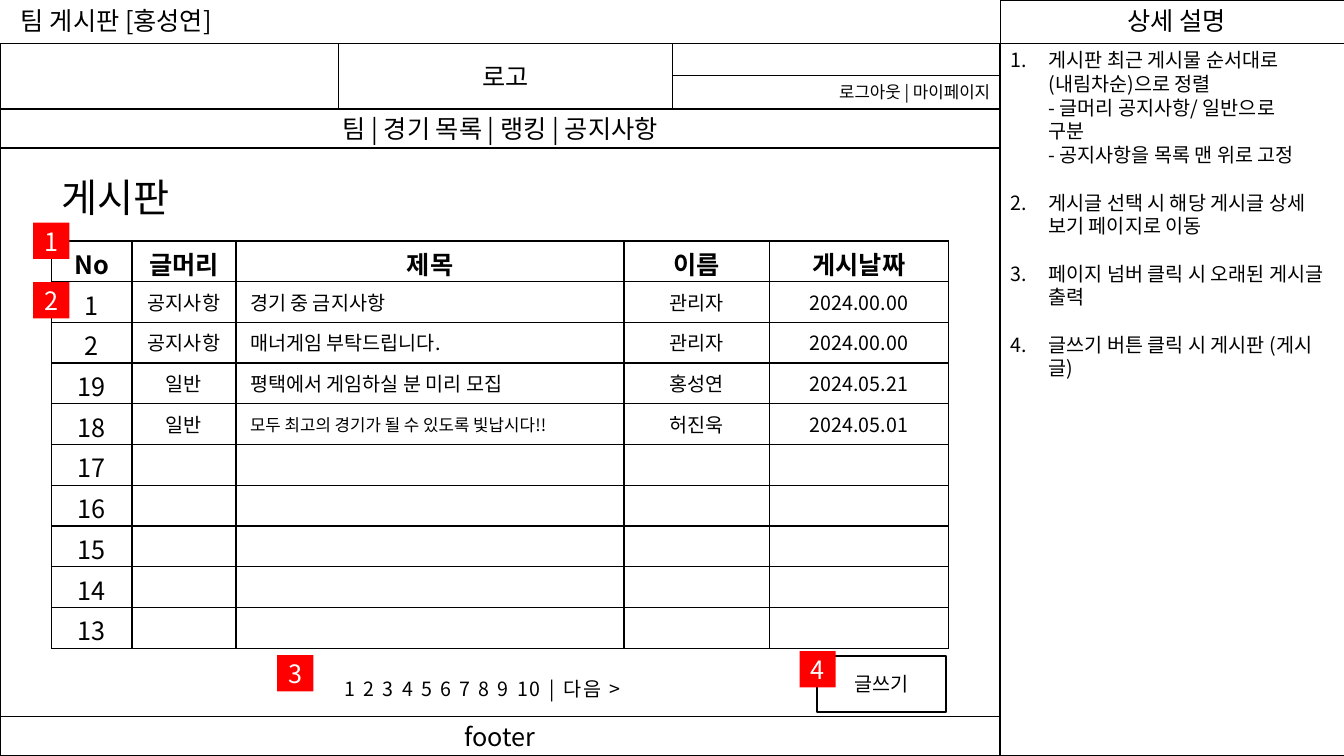
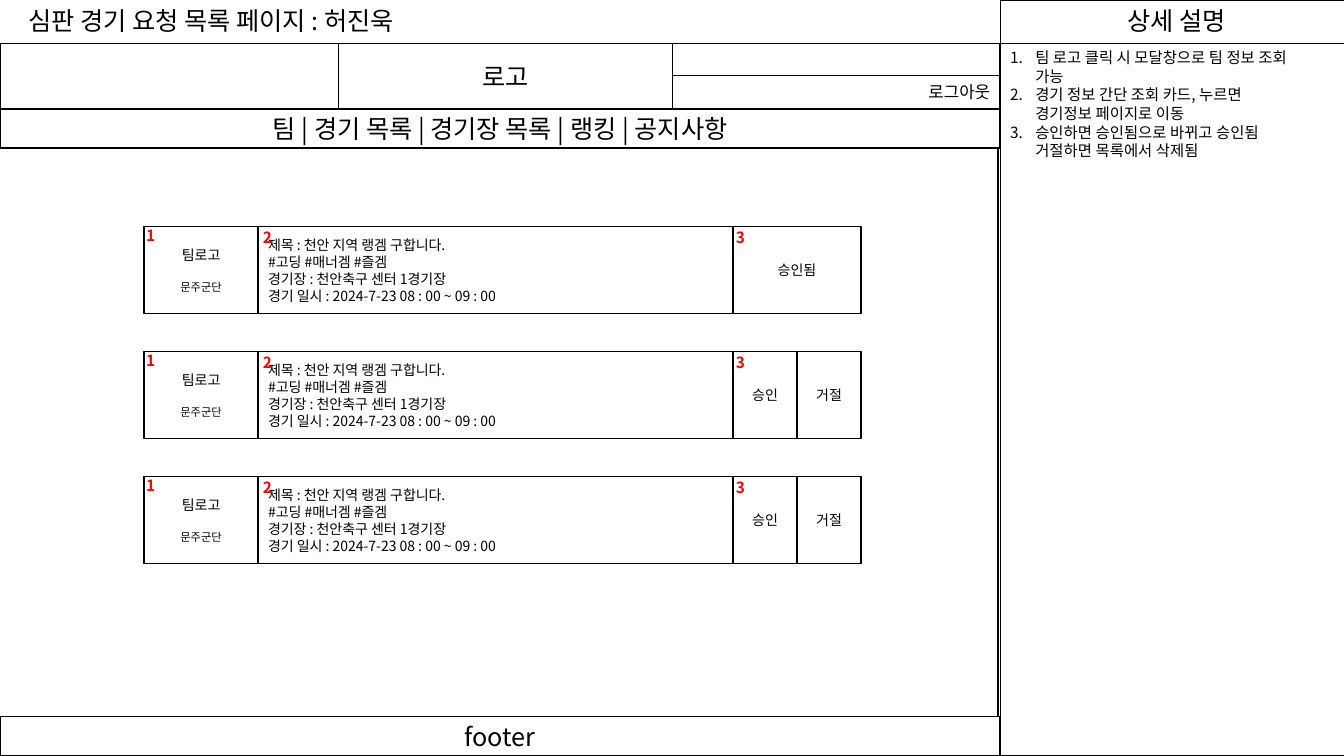
"""Build two wireframe pages: a team board and a referee's match request list."""
from lxml import etree
from pptx import Presentation
from pptx.dml.color import RGBColor
from pptx.enum import shapes, text
from pptx.oxml import ns
from pptx.util import Inches, Pt

FONT = "Noto Sans CJK KR"
COLORS = {"ink": "000000", "paper": "FFFFFF", "marker": "FF0000"}
LEFT, CENTER, RIGHT = text.PP_ALIGN.LEFT, text.PP_ALIGN.CENTER, text.PP_ALIGN.RIGHT
LINE_HEIGHT = 1.21
MAIN_WIDTH = 9.92
SIDE_WIDTH = 3.42


def style_text(frame, size, color="ink", align=CENTER, bold=False):
    for para in frame.paragraphs:
        para.alignment = align
        para.line_spacing = Pt(round(size * LINE_HEIGHT, 1))
        for span in para.runs:
            span.font.size = Pt(size)
            span.font.bold = bold
            span.font.name = FONT
            span.font.color.rgb = RGBColor.from_string(COLORS[color])
            east_asian = etree.SubElement(span.font._element, ns.qn("a:ea"))
            east_asian.set("typeface", FONT)


def add_box(page, place, words="", size=18, color="ink", align=CENTER,
            fill="paper", line=1, bold=False):
    lengths = [Inches(value) for value in place]
    if fill:
        box = page.shapes.add_shape(shapes.MSO_SHAPE.RECTANGLE, *lengths)
        box.shadow.inherit = False
        box.fill.solid()
        box.fill.fore_color.rgb = RGBColor.from_string(COLORS[fill])
        if line:
            box.line.color.rgb = RGBColor.from_string(COLORS["ink"])
            box.line.width = Pt(line)
        else:
            box.line.fill.background()
    else:
        box = page.shapes.add_textbox(*lengths)
    frame = box.text_frame
    frame.word_wrap = True
    frame.vertical_anchor = text.MSO_ANCHOR.MIDDLE if fill else text.MSO_ANCHOR.TOP
    if words:
        frame.text = words
        style_text(frame, size, color, align, bold)
    return box


deck = Presentation()
deck.slide_width, deck.slide_height = Inches(13.33), Inches(7.5)

page_settings = [
    {
        "title": "팀 게시판 [홍성연]", "title_left": 0.11, "body_left": 0,
        "menu": "팀 | 경기 목록 | 랭킹 | 공지사항",
        "account": "로그아웃 | 마이페이지",
        "notes_size": 14, "notes_indent": 0.38, "notes_gap": 17, "notes_width": 3.41,
        "notes": [
            "게시판 최근 게시물 순서대로\v(내림차순)으로 정렬\v- 글머리 공지사항/ 일반으로\v구분"
            "\v- 공지사항을 목록 맨 위로 고정",
            "게시글 선택 시 해당 게시글 상세 보기 페이지로 이동",
            "페이지 넘버 클릭 시 오래된 게시글 출력",
            "글쓰기 버튼 클릭 시 게시판 (게시글)",
        ],
    },
    {
        "title": "심판 경기 요청 목록 페이지 : 허진욱", "title_left": 0.18, "body_left": -0.02,
        "menu": "팀 | 경기 목록 | 경기장 목록 | 랭킹 | 공지사항",
        "account": "로그아웃",
        "notes_size": 11, "notes_indent": 0.25, "notes_gap": 0, "notes_width": 3.07,
        "notes": [
            "팀 로고 클릭 시 모달창으로 팀 정보 조회 가능",
            "경기 정보 간단 조회 카드, 누르면 경기정보 페이지로 이동",
            "승인하면 승인됨으로 바뀌고 승인됨 거절하면 목록에서 삭제됨",
        ],
    },
]

pages = []
for setting in page_settings:
    page = deck.slides.add_slide(deck.slide_layouts[6])
    pages.append(page)
    add_box(page, (MAIN_WIDTH, 0.43, SIDE_WIDTH, 7.07))
    add_box(page, (MAIN_WIDTH, 0, SIDE_WIDTH, 0.43))
    add_box(page, (11.08, 0, 1.3, 0.4), "상세 설명", align=LEFT, fill=None)
    add_box(page, (setting["body_left"], 1.47, MAIN_WIDTH, 5.64))
    add_box(page, (0, 0.43, MAIN_WIDTH, 1.04))
    add_box(page, (3.36, 0.43, 3.31, 0.65), "로고")
    add_box(page, (0, 1.08, MAIN_WIDTH, 0.39), setting["menu"])
    add_box(page, (6.67, 0.75, 3.25, 0.33), setting["account"], 12, align=RIGHT)
    add_box(page, (0, 7.11, MAIN_WIDTH, 0.39), "footer")
    add_box(page, (setting["title_left"], 0, 4.65, 0.4), setting["title"], align=LEFT, fill=None)
    notes = add_box(page, (MAIN_WIDTH, 0.43, setting["notes_width"], 3.4),
                    "\n".join(setting["notes"]), setting["notes_size"], align=LEFT, fill=None)
    for para in notes.text_frame.paragraphs:
        para.space_after = Pt(setting["notes_gap"])
        properties = para._p.get_or_add_pPr()
        properties.set("marL", str(Inches(setting["notes_indent"])))
        properties.set("indent", str(-Inches(setting["notes_indent"])))
        numbering = etree.SubElement(properties, ns.qn("a:buAutoNum"))
        numbering.set("type", "arabicPeriod")

board, requests = pages

add_box(board, (0.51, 1.67, 1.6, 0.57), "게시판", 28, align=LEFT, fill=None)
column_widths = [0.8, 1.03, 3.85, 1.44, 1.78]
posts = [
    ("No", "글머리", "제목", "이름", "게시날짜"),
    ("1", "공지사항", "경기 중 금지사항", "관리자", "2024.00.00"),
    ("2", "공지사항", "매너게임 부탁드립니다.", "관리자", "2024.00.00"),
    ("19", "일반", "평택에서 게임하실 분 미리 모집", "홍성연", "2024.05.21"),
    ("18", "일반", "모두 최고의 경기가 될 수 있도록 빛납시다!!", "허진욱", "2024.05.01"),
]
posts += [(str(number), "", "", "", "") for number in range(17, 12, -1)]
table = board.shapes.add_table(
    len(posts), len(column_widths), Inches(0.51), Inches(2.39), Inches(8.9), Inches(4.04)
).table
for column, width in zip(table.columns, column_widths):
    column.width = Inches(width)
for row_index, post in enumerate(posts):
    table.rows[row_index].height = Inches(4.04 / len(posts))
    for column_index, words in enumerate(post):
        cell = table.cell(row_index, column_index)
        header = row_index == 0
        large = header or column_index == 0
        post_title = column_index == 2 and not header
        size = 18 if large else 12 if post_title and row_index == 4 else 14
        cell.text_frame.text = words
        style_text(cell.text_frame, size, align=LEFT if post_title else CENTER, bold=header)
        cell.vertical_anchor = text.MSO_ANCHOR.MIDDLE
        cell.margin_top = Inches(0.1 if large else 0.07)
        cell.margin_bottom = Inches(0 if large else 0.03)
        if post_title:
            cell.margin_left = Inches(0.14)
        cell.fill.solid()
        cell.fill.fore_color.rgb = RGBColor.from_string(COLORS["paper"])
        cell_properties = cell._tc.get_or_add_tcPr()
        for order, side in enumerate(("a:lnL", "a:lnR", "a:lnT", "a:lnB")):
            border = etree.Element(ns.qn(side), w=str(Pt(1)))
            border_fill = etree.SubElement(border, ns.qn("a:solidFill"))
            etree.SubElement(border_fill, ns.qn("a:srgbClr"), val=COLORS["ink"])
            cell_properties.insert(order, border)

add_box(board, (8.1, 6.51, 1.28, 0.55), "글쓰기", 14, line=1.5)
pager = add_box(board, (2.37, 6.59, 4.83, 0.48), "1 2 3 4 5 6 7 8 9 10 | 다음 >", 14, line=0)
pager.text_frame.paragraphs[0].runs[0].font._element.set("spc", "140")
marker_places = [(0.33, 2.21), (0.33, 2.8), (2.75, 6.5), (7.93, 6.46)]
for number, (left, top) in enumerate(marker_places, 1):
    add_box(board, (left, top, 0.36, 0.36), str(number), color="paper", fill="marker", line=0)

match_info = "\n".join([
    "제목 : 천안 지역 랭겜 구합니다.",
    "#고딩 #매너겜 #즐겜",
    "경기장 : 천안축구 센터 1경기장",
    "경기 일시 : 2024-7-23 08 : 00 ~ 09 : 00",
])
card_height = 0.86
card_actions = [["승인됨"], ["승인", "거절"], ["승인", "거절"]]
for card_index, actions in enumerate(card_actions):
    top = 2.25 + 1.24 * card_index
    add_box(requests, (2.56, top, 4.71, card_height), match_info, 10, align=LEFT)
    team = add_box(requests, (1.43, top, 1.13, card_height), "팀로고\n문주군단", 10)
    team_name = team.text_frame.paragraphs[1]
    team_name.space_before = Pt(9)
    team_name.runs[0].font.size = Pt(8)
    action_width = 1.27 / len(actions)
    for action_index, action in enumerate(actions):
        left = 7.27 + action_width * action_index
        add_box(requests, (left, top, action_width, card_height), action, 10)
    for number, (left, rise) in enumerate([(1.35, 0.06), (2.51, 0.04), (7.2, 0.04)], 1):
        add_box(requests, (left, top - rise, 0.38, 0.29), str(number), 11, "marker",
                LEFT, fill=None, bold=True)

deck.save("out.pptx")
